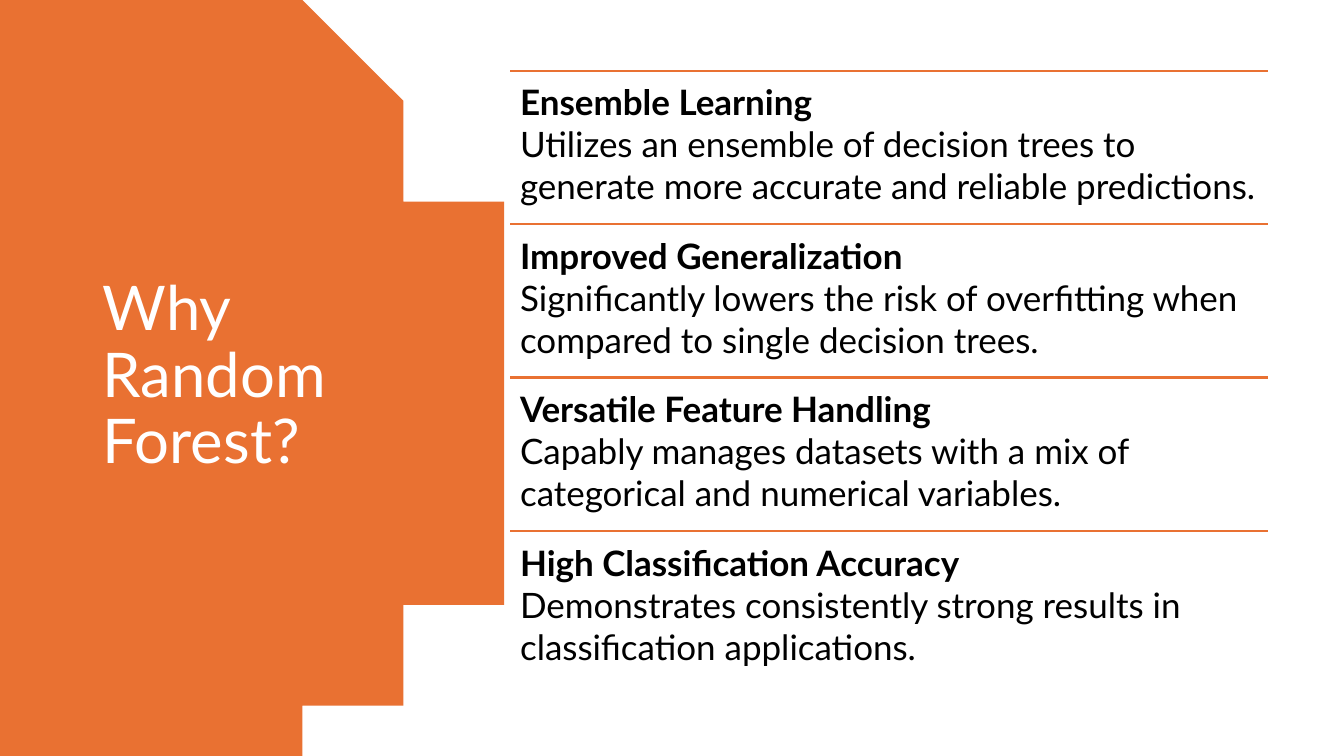
import math

from lxml import etree
from pptx import Presentation
from pptx import util as u
from pptx.dml.color import RGBColor
from pptx.enum import shapes, text
from pptx.oxml.ns import qn

ORANGE, WHITE, BLACK = "E97132", "FFFFFF", "000000"
FONT = "Lato"
REASONS = [
    ("Ensemble Learning",
     "Utilizes an ensemble of decision trees to generate more accurate and reliable predictions."),
    ("Improved Generalization",
     "Significantly lowers the risk of overfitting when compared to single decision trees."),
    ("Versatile Feature Handling",
     "Capably manages datasets with a mix of categorical and numerical variables."),
    ("High Classification Accuracy",
     "Demonstrates consistently strong results in classification applications."),
]


def color(value):
    """Turn a hex string into a colour."""
    return RGBColor.from_string(value)


def add_text(s, box, runs, size, fill, anchor=text.MSO_ANCHOR.TOP, inset_y=0.1,
             line_spacing=None, space_after=None):
    """Add a one-paragraph text box from (text, bold) runs, one line break between runs."""
    tf = s.shapes.add_textbox(*map(u.Inches, box)).text_frame
    tf.word_wrap = True
    tf.vertical_anchor = anchor
    tf.margin_left = tf.margin_right = u.Inches(0.1)
    tf.margin_top = tf.margin_bottom = u.Inches(inset_y)
    p = tf.paragraphs[0]
    p.line_spacing = line_spacing
    p.space_after = space_after
    for i, (words, bold) in enumerate(runs):
        if i:
            p.add_line_break()
        r = p.add_run()
        r.text = words
        r.font.name, r.font.size, r.font.bold = FONT, u.Pt(size), bold
        r.font.color.rgb = color(fill)
    p.font.name, p.font.size = FONT, u.Pt(size)


def add_rule(s, x, y, w):
    """Add a horizontal rule of width w."""
    c = s.shapes.add_connector(shapes.MSO_CONNECTOR.STRAIGHT,
                               *map(u.Inches, (x, y, x + w, y)))
    c.line.color.rgb = color(ORANGE)
    c.line.width = u.Pt(1.5)
    etree.SubElement(c._element.spPr, qn("a:effectLst"))


def title_panel(s, x, y, w, h, bulge=2.1, steps=80):
    """Draw the panel with a circular right edge and set the title in it."""
    radius = (bulge ** 2 + (h / 2) ** 2) / (2 * bulge)
    half = math.asin(h / 2 / radius)
    angles = [half * (2 * i / steps - 1) for i in range(steps + 1)]
    arc = [(x + w - radius + radius * math.cos(a), y + h / 2 + radius * math.sin(a))
           for a in angles]
    fb = s.shapes.build_freeform(x, y, scale=u.Inches(1))
    fb.add_line_segments(arc + [(x, y + h)], close=True)
    sp = fb.convert_to_shape()
    sp.shadow.inherit = False
    sp.fill.solid()
    sp.fill.fore_color.rgb = color(ORANGE)
    sp.line.fill.background()
    add_text(s, (x + 0.92, y + 0.7, 3.23, h - 1.41), [("Why Random Forest?", False)], 44,
             WHITE, anchor=text.MSO_ANCHOR.MIDDLE, inset_y=0.05, line_spacing=0.9)


def reason_list(s, x, y, w, h):
    """Stack the reasons in equal rows, each under a rule."""
    row = h / len(REASONS)
    for i, (heading, detail) in enumerate(REASONS):
        top = y + i * row
        add_rule(s, x, top, w)
        add_text(s, (x, top, w, row), [(heading, True), (detail, False)], 25, BLACK)


def main():
    """Build the slide and save it."""
    prs = Presentation()
    prs.slide_width, prs.slide_height = u.Inches(13.33), u.Inches(7.5)
    s = prs.slides.add_slide(prs.slide_layouts[6])
    title_panel(s, 0, 0, 4.93, 7.5)
    reason_list(s, 5.06, 0.7, 7.52, 6.09)
    prs.save("out.pptx")


if __name__ == "__main__":
    main()
